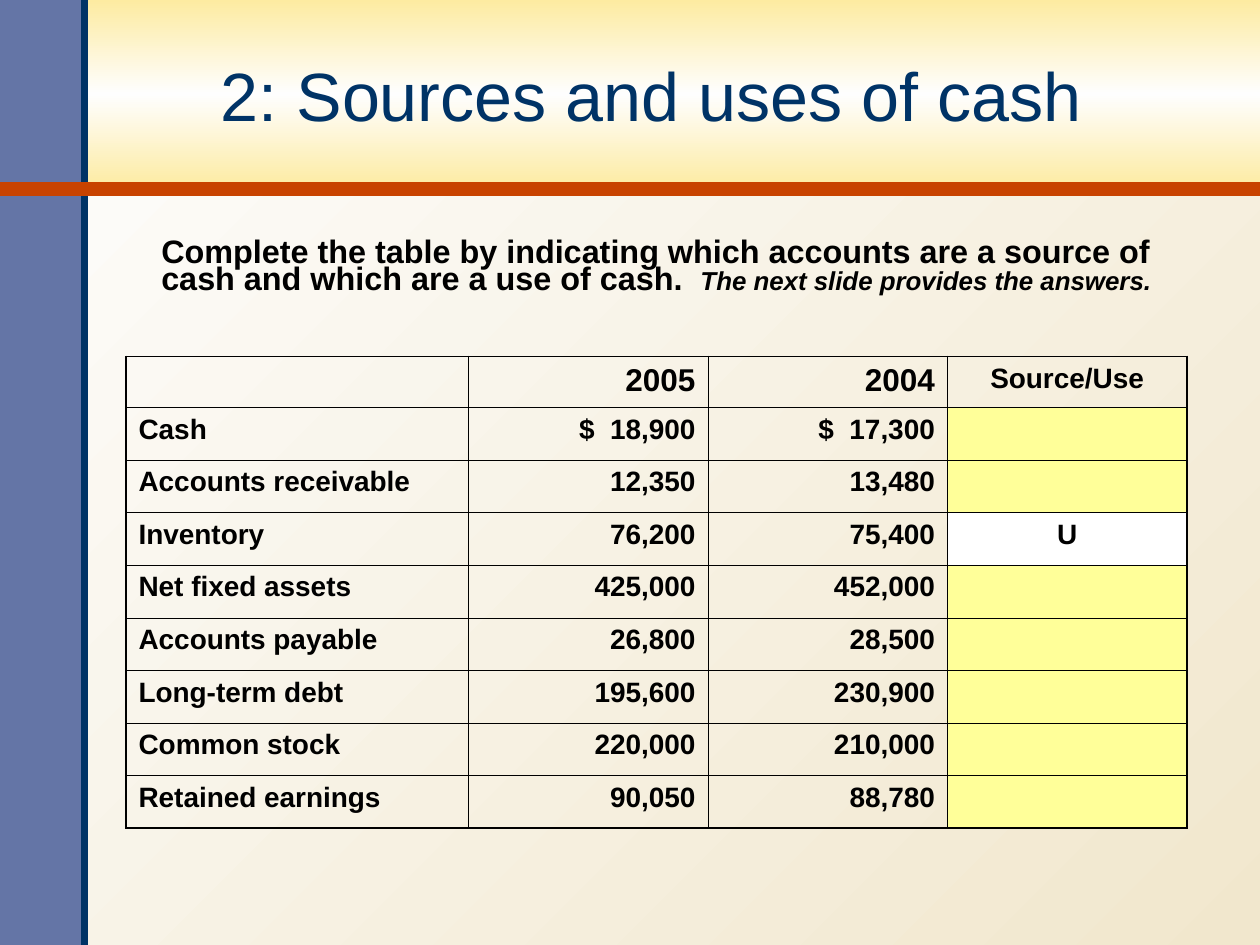
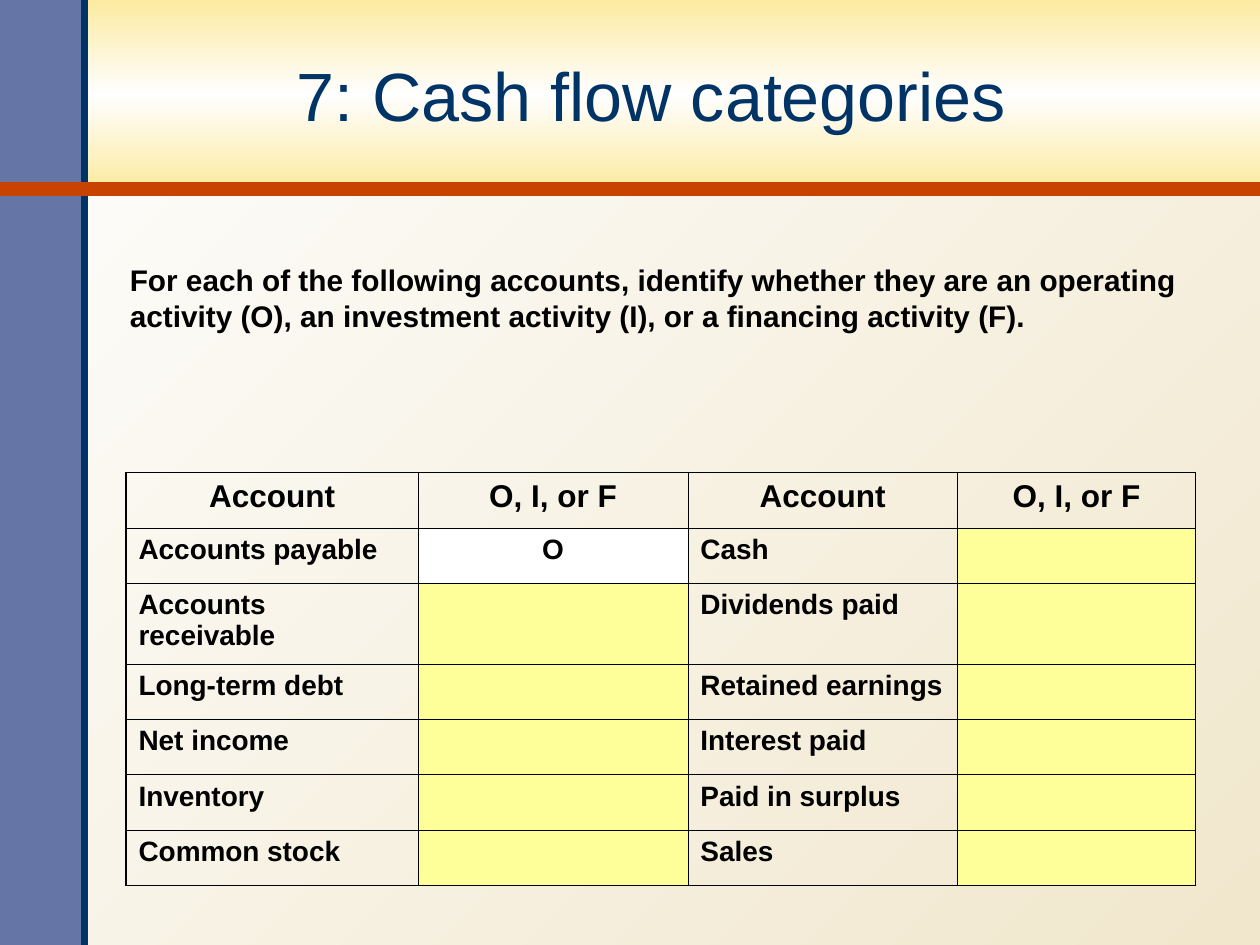
from lxml.etree import SubElement
from pptx import Presentation
from pptx.dml.color import RGBColor
from pptx.enum.shapes import MSO_CONNECTOR as CONN, MSO_SHAPE as SHAPE
from pptx.enum.text import MSO_ANCHOR as ANCHOR, MSO_AUTO_SIZE as AUTO, PP_ALIGN as ALIGN
from pptx.oxml.ns import qn
from pptx.util import Inches, Pt

COLORS = {
    "navy": "003366", "slate": "6475A6", "rust": "C84300", "gold": "FDEBA1",
    "sand": "F1E7CD", "paper": "FEFEFE", "black": "000000",
    "blank": "FFFF99", "answer": "FFFFFF",
}
ALIGNS = {"l": ALIGN.LEFT, "c": ALIGN.CENTER, "r": ALIGN.RIGHT}
THIN, THICK = 0.45, 1.08


def rgb(name):
    return RGBColor.from_string(COLORS[name])


class Deck:
    font = "Arial"

    def __init__(self):
        self.prs = Presentation()
        self.prs.slide_width, self.prs.slide_height = Inches(10), Inches(7.5)
        self.s = None

    def slide(self, title):
        self.s = self.prs.slides.add_slide(self.prs.slide_layouts[1])
        tf = self.place(self.s.shapes.title, (0.65, 0.15, 9.04, 1.2), 0.05)
        tf.vertical_anchor = ANCHOR.MIDDLE
        p = tf.paragraphs[0]
        p.alignment = ALIGN.CENTER
        self.run(p, title, 39, "navy")

    def place(self, sp, at, top_inset):
        sp.left, sp.top, sp.width, sp.height = map(Inches, at)
        tf = sp.text_frame
        tf.word_wrap = True
        tf.auto_size = AUTO.NONE
        tf.margin_left = tf.margin_right = Inches(0.1)
        tf.margin_top, tf.margin_bottom = Inches(top_inset), Inches(0.05)
        return tf

    def run(self, p, text, size, color="black", bold=False, italic=False):
        r = p.add_run()
        r.text = text
        f = r.font
        f.name, f.size, f.bold, f.italic = self.font, Pt(size), bold, italic
        f.color.rgb = rgb(color)

    def body(self, at, runs, spacing=1.0):
        tf = self.place(self.s.placeholders[1], at, 0.5)
        tf.vertical_anchor = ANCHOR.TOP
        p = tf.paragraphs[0]
        p.space_before, p.line_spacing = Pt(0), spacing
        pPr = p._p.get_or_add_pPr()
        pPr.set("marL", str(Inches(0.26)))
        pPr.set("indent", "0")
        SubElement(pPr, qn("a:buNone"))
        for text, size, italic in runs:
            self.run(p, text, size, bold=True, italic=italic)

    def gradient(self, fill, owner, names, clockwise):
        fill.gradient()
        fill.gradient_angle = 360 - clockwise
        stops = next(owner.iter(qn("a:gsLst")))
        stops.clear()
        for i, name in enumerate(names):
            gs = SubElement(stops, qn("a:gs"), pos=str(100000 * i // (len(names) - 1)))
            SubElement(gs, qn("a:srgbClr"), val=COLORS[name])

    def rect(self, at):
        sp = self.s.shapes.add_shape(SHAPE.RECTANGLE, *map(Inches, at))
        sp.shadow.inherit = False
        sp.line.fill.background()
        return sp

    def line(self, ends, color, width):
        cn = self.s.shapes.add_connector(CONN.STRAIGHT, *map(Inches, ends))
        cn.line.color.rgb, cn.line.width = rgb(color), Pt(width)
        SubElement(cn.element.spPr, qn("a:effectLst"))
        return cn

    def master_bands(self):
        master = self.prs.slide_master
        self.gradient(master.background.fill, master.element, ("sand", "paper"), 225)
        header = self.rect((0, 0, 10, 1.5))
        self.gradient(header.fill, header.element, ("gold", "paper", "gold"), 90)
        side = self.rect((0, 0, 0.67, 7.5))
        side.fill.solid()
        side.fill.fore_color.rgb = rgb("slate")
        bands = (header, side,
                 self.line((0.67, 7.5, 0.67, 0), "navy", 4),
                 self.line((0, 1.5, 10, 1.5), "rust", 8))
        for i, band in enumerate(bands):
            next(band.element.iter(qn("p:cNvPr"))).set("id", str(20 + i))
            master.shapes.element.insert(2 + i, band.element)

    def borders(self, cell, thick_sides):
        tcPr = cell._tc.get_or_add_tcPr()
        for side in "LRTB":
            width = THICK if side in thick_sides else THIN
            ln = SubElement(tcPr, qn("a:ln" + side), w=str(Pt(width)))
            fill = SubElement(ln, qn("a:solidFill"))
            SubElement(fill, qn("a:srgbClr"), val=COLORS["black"])

    def table(self, at, widths, heights, rows, aligns, head_aligns, head_sizes, answer_cols):
        n_rows, n_cols = len(rows), len(widths)
        frame = self.s.shapes.add_table(n_rows, n_cols, Inches(at[0]), Inches(at[1]),
                                        Inches(sum(widths)), Inches(sum(heights)))
        tbl = frame.table
        tbl.first_row = tbl.horz_banding = False
        for col, width in zip(tbl.columns, widths):
            col.width = Inches(width)
        for row, height in zip(tbl.rows, heights):
            row.height = Inches(height)
        for i, texts in enumerate(rows):
            for j, text in enumerate(texts):
                cell = tbl.cell(i, j)
                edges = {"L": j == 0, "R": j == n_cols - 1, "T": i == 0, "B": i == n_rows - 1}
                self.borders(cell, [side for side, outer in edges.items() if outer])
                if i and j in answer_cols:
                    cell.fill.solid()
                    cell.fill.fore_color.rgb = rgb("answer" if text else "blank")
                else:
                    cell.fill.background()
                p = cell.text_frame.paragraphs[0]
                p.alignment = ALIGNS[(aligns if i else head_aligns)[j]]
                if text:
                    self.run(p, text, 16 if i else head_sizes[j], bold=True)


def main():
    deck = Deck()

    deck.slide("2: Sources and uses of cash")
    deck.master_bands()
    deck.body((0.92, 1.42, 8.58, 1.58), [
        ("Complete the table by indicating which accounts are a source of cash "
         "and which are a use of cash.  ", 18.5, False),
        ("The next slide provides the answers.", 14.8, True),
    ], spacing=0.7)
    balances = [
        ("", "2005", "2004", "Source/Use"),
        ("Cash", "$  18,900", "$  17,300", ""),
        ("Accounts receivable", "12,350", "13,480", ""),
        ("Inventory", "76,200", "75,400", "U"),
        ("Net fixed assets", "425,000", "452,000", ""),
        ("Accounts payable", "26,800", "28,500", ""),
        ("Long-term debt", "195,600", "230,900", ""),
        ("Common stock", "220,000", "210,000", ""),
        ("Retained earnings", "90,050", "88,780", ""),
    ]
    deck.table((1, 2.83), [2.72] + [1.9] * 3, [0.4] + [3.34 / 8] * 8, balances,
               "lrrc", "lrrc", (18, 18, 18, 16), (3,))

    deck.slide("7: Cash flow categories")
    deck.body((0.67, 1.58, 9.09, 1.22), [
        ("For each of the following accounts, identify whether they are an operating "
         "activity (O), an investment activity (I), or a financing activity (F).", 17, False),
    ])
    categories = [
        ("Account", "O, I, or F") * 2,
        ("Accounts payable", "O", "Cash", ""),
        ("Accounts receivable", "", "Dividends paid", ""),
        ("Long-term debt", "", "Retained earnings", ""),
        ("Net income", "", "Interest paid", ""),
        ("Inventory", "", "Paid in surplus", ""),
        ("Common stock", "", "Sales", ""),
    ]
    deck.table((1, 3.75), [2.32, 2.14, 2.14, 1.89], [0.44] * 2 + [0.64] + [0.44] * 4,
               categories, "lclc", "cccc", (18,) * 4, (1, 3))

    deck.prs.save("out.pptx")


if __name__ == "__main__":
    main()
